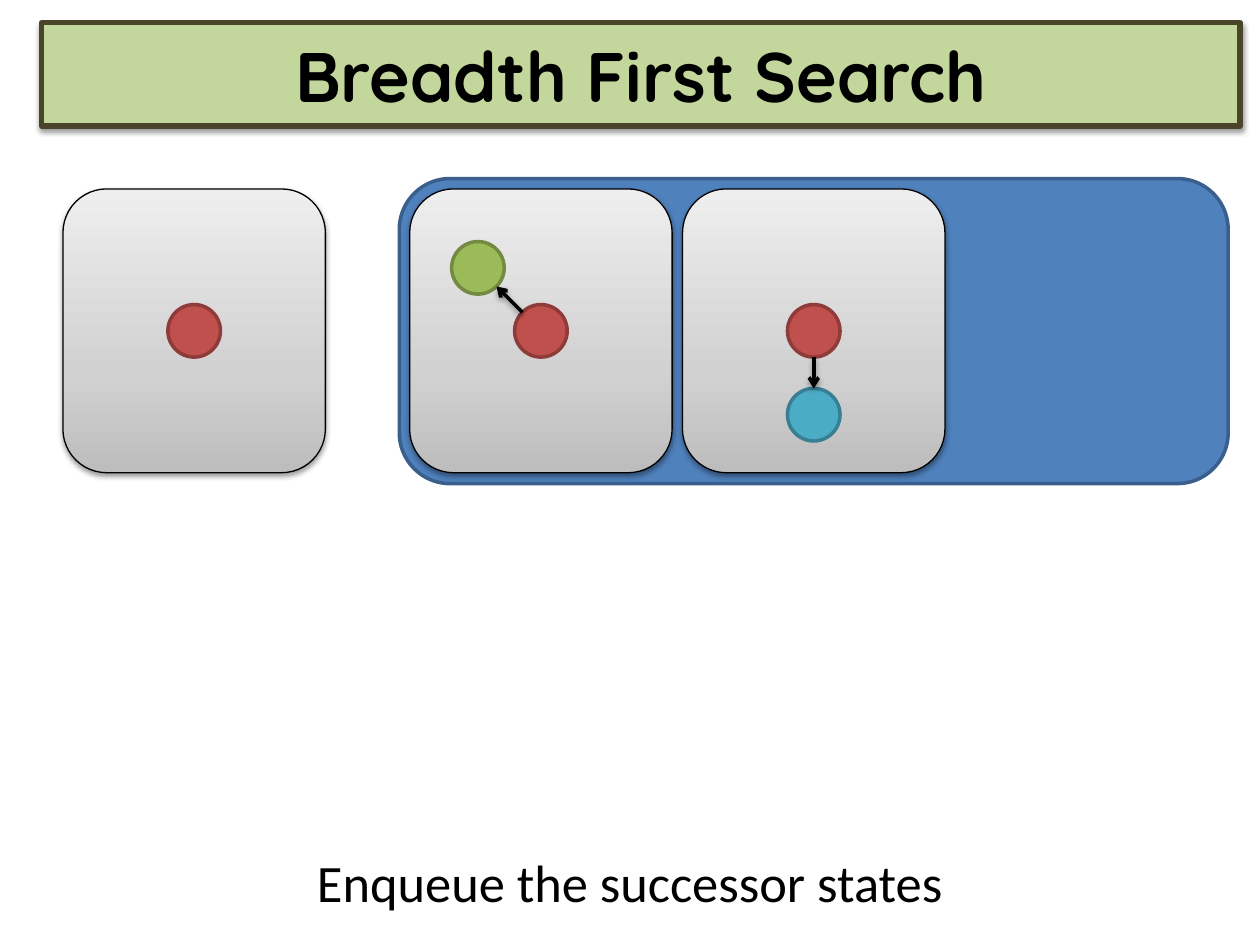
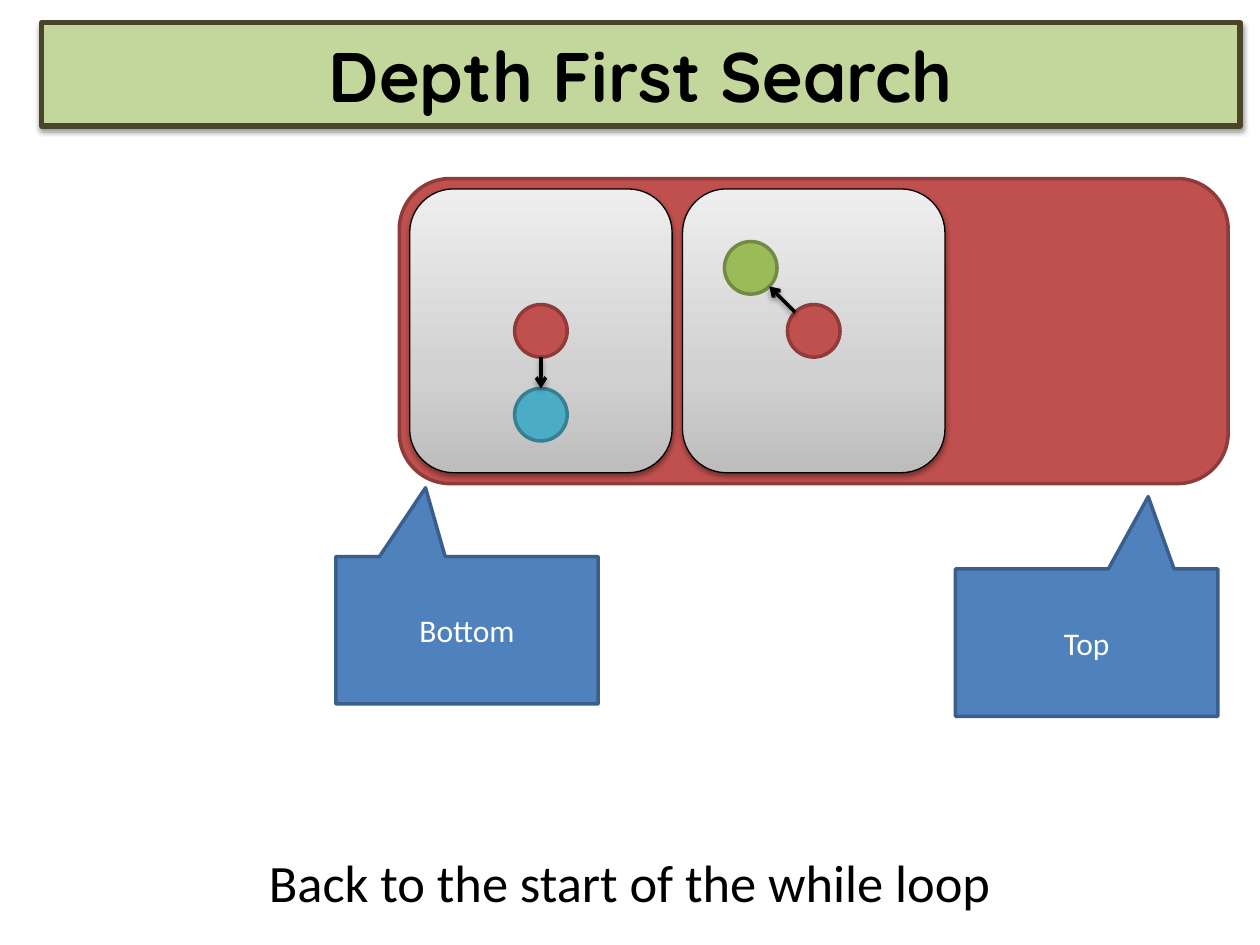
from math import hypot

from lxml.etree import SubElement
from pptx import Presentation
from pptx.dml.color import RGBColor
from pptx.enum.shapes import MSO_CONNECTOR, MSO_SHAPE
from pptx.enum.text import MSO_ANCHOR, PP_ALIGN
from pptx.oxml.ns import qn
from pptx.util import Cm, Pt

COLORS = {
    "black": "000000", "white": "FFFFFF",
    "band": "C3D69B", "band line": "4A452A",
    "blue": "4F81BD", "blue line": "3A5F8C",
    "red": "C0504D", "red line": "8E3B39",
    "green": "9BBB59", "green line": "738A42",
    "cyan": "4BACC6", "cyan line": "377F92",
}
STATE_GRADIENT = [(0, "BDBDBD"), (35, "D1D1D1"), (100, "EEEEEE")]

# Successor node: colour and offset (cm) of its centre from the start node
GO_GREEN = ("green", -1.27, -1.27)
GO_CYAN = ("cyan", 0, 1.69)

SLIDES = [
    {
        "title": "Breadth First Search",
        "caption": "Enqueue the successor states",
        "container": "blue",
        "current state": True,
        "stored states": [GO_GREEN, GO_CYAN],
        "callouts": [],
    },
    {
        "title": "Depth First Search",
        "caption": "Back to the start of the while loop",
        "container": "red",
        "current state": False,
        "stored states": [GO_CYAN, GO_GREEN],
        "callouts": [
            ("Bottom", 6.77, 11.22, (-0.158, -0.967)),
            ("Top", 19.26, 11.47, (0.235, -0.991)),
        ],
    },
]

# Lengths in cm
TITLE_BAND = (0.84, 0.46, 24.16, 2.08)
CAPTION_BOX = (0, 17.02, 25.4, 1.55)
CONTAINER = (8.05, 3.6, 16.71, 6.15)
STATE_WIDTH, STATE_HEIGHT, STATE_TOP = 5.29, 5.72, 3.81
CURRENT_LEFT, STORED_LEFT, STORED_STEP = 1.27, 8.26, 5.5
NODE_SIZE = 1.06
CALLOUT_SIZE = (5.29, 2.97)

TITLE_FONT = {"name": "Quicksand", "size": Pt(40), "bold": True}
CAPTION_FONT = {"name": "Calibri", "size": Pt(30)}
CALLOUT_FONT = {"name": "Calibri", "size": Pt(18)}


def rgb(name):
    return RGBColor.from_string(COLORS[name])


def add_shadow(shape):
    properties = shape._element.spPr
    effects = properties.find(qn("a:effectLst"))
    if effects is None:
        effects = SubElement(properties, qn("a:effectLst"))
    shadow = SubElement(effects, qn("a:outerShdw"), blurRad="40000", dist="20000",
                        dir="5400000", rotWithShape="0")
    color = SubElement(shadow, qn("a:srgbClr"), val=COLORS["black"])
    SubElement(color, qn("a:alpha"), val="38000")


def add_box(slide, kind, place, fill, line, line_width=2):
    """Add a preset shape; with fill None the caller sets the fill."""
    box = slide.shapes.add_shape(kind, *map(Cm, place))
    box.shadow.inherit = False
    if fill:
        box.fill.solid()
        box.fill.fore_color.rgb = rgb(fill)
    box.line.color.rgb = rgb(line)
    box.line.width = Pt(line_width)
    return box


def write(box, text, font, color):
    frame = box.text_frame
    frame.word_wrap = True
    para = frame.paragraphs[0]
    para.alignment = PP_ALIGN.CENTER
    span = para.add_run()
    span.text = text
    for name, value in font.items():
        setattr(span.font, name, value)
    span.font.color.rgb = rgb(color)


def add_node(slide, center_x, center_y, color):
    place = (center_x - NODE_SIZE / 2, center_y - NODE_SIZE / 2, NODE_SIZE, NODE_SIZE)
    add_box(slide, MSO_SHAPE.OVAL, place, color, f"{color} line")


def add_arrow(slide, center_x, center_y, shift_x, shift_y):
    """Join the rims of two nodes whose centres lie one shift apart."""
    rim = NODE_SIZE / 2 / hypot(shift_x, shift_y)
    ends = [center + shift * share
            for share in (rim, 1 - rim)
            for center, shift in ((center_x, shift_x), (center_y, shift_y))]
    arrow = slide.shapes.add_connector(MSO_CONNECTOR.STRAIGHT, *map(Cm, ends))
    arrow.line.color.rgb = rgb("black")
    arrow.line.width = Pt(2)
    SubElement(arrow.line._get_or_add_ln(), qn("a:tailEnd"), type="arrow")
    add_shadow(arrow)


def add_state(slide, left, successor=None):
    place = (left, STATE_TOP, STATE_WIDTH, STATE_HEIGHT)
    state = add_box(slide, MSO_SHAPE.ROUNDED_RECTANGLE, place, None, "black", 0.75)
    state.fill.gradient()
    state.fill.gradient_angle = 90
    stops = state._element.spPr.find(f".//{qn('a:gsLst')}")
    for stop in list(stops):
        stops.remove(stop)
    for percent, color in STATE_GRADIENT:
        stop = SubElement(stops, qn("a:gs"), pos=str(percent * 1000))
        SubElement(stop, qn("a:srgbClr"), val=color)
    add_shadow(state)

    center = (left + STATE_WIDTH / 2, STATE_TOP + STATE_HEIGHT / 2)
    add_node(slide, *center, "red")
    if successor:
        color, shift_x, shift_y = successor
        add_node(slide, center[0] + shift_x, center[1] + shift_y, color)
        add_arrow(slide, *center, shift_x, shift_y)


def add_callout(slide, text, left, top, tip):
    callout = add_box(slide, MSO_SHAPE.RECTANGULAR_CALLOUT, (left, top, *CALLOUT_SIZE),
                      "blue", "blue line")
    for index, value in enumerate(tip):
        callout.adjustments[index] = value
    callout.text_frame.vertical_anchor = MSO_ANCHOR.MIDDLE
    write(callout, text, CALLOUT_FONT, "white")


def add_search_slide(deck, content):
    slide = deck.slides.add_slide(deck.slide_layouts[6])
    band = add_box(slide, MSO_SHAPE.RECTANGLE, TITLE_BAND, "band", "band line", 3)
    band.text_frame.vertical_anchor = MSO_ANCHOR.MIDDLE
    add_shadow(band)
    write(band, content["title"], TITLE_FONT, "black")

    color = content["container"]
    add_box(slide, MSO_SHAPE.ROUNDED_RECTANGLE, CONTAINER, color, f"{color} line")
    if content["current state"]:
        add_state(slide, CURRENT_LEFT)
    for index, successor in enumerate(content["stored states"]):
        add_state(slide, STORED_LEFT + index * STORED_STEP, successor)
    for callout in content["callouts"]:
        add_callout(slide, *callout)

    caption = slide.shapes.add_textbox(*map(Cm, CAPTION_BOX))
    write(caption, content["caption"], CAPTION_FONT, "black")


def main():
    deck = Presentation()
    deck.slide_width, deck.slide_height = Cm(25.4), Cm(19.05)
    for content in SLIDES:
        add_search_slide(deck, content)
    deck.save("out.pptx")


if __name__ == "__main__":
    main()
